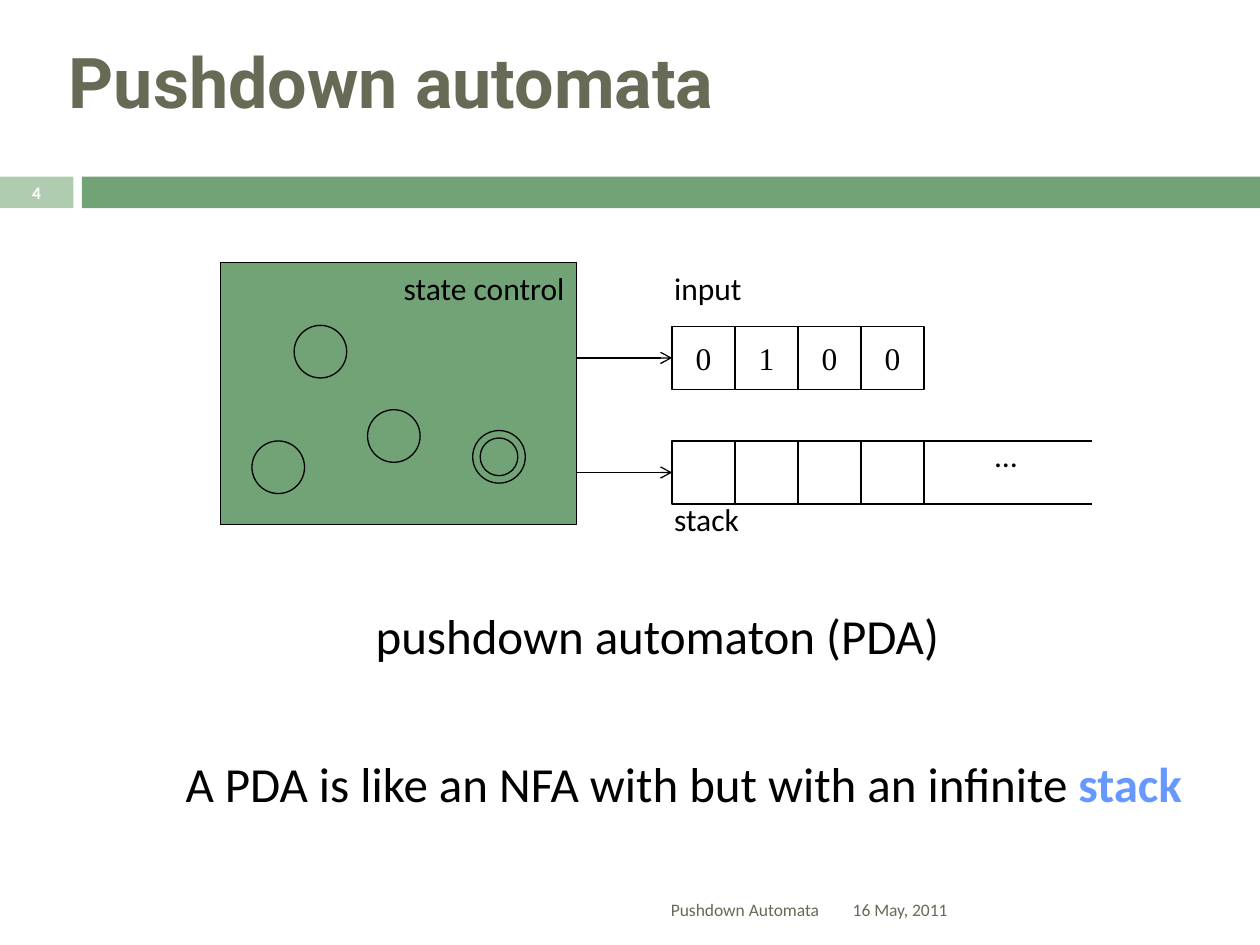
from lxml.etree import SubElement
from pptx import Presentation
from pptx.dml.color import RGBColor
from pptx.enum.shapes import MSO_CONNECTOR, MSO_SHAPE
from pptx.enum.text import MSO_ANCHOR, PP_ALIGN
from pptx.oxml.ns import qn
from pptx.util import Cm, Pt

GREEN, PALE_GREEN, OLIVE = "72A376", "B0CCB0", "676A55"
BLACK, WHITE, BLUE = "000000", "FFFFFF", "6699FF"
LEFT, CENTER, RIGHT = PP_ALIGN.LEFT, PP_ALIGN.CENTER, PP_ALIGN.RIGHT
TOP, MIDDLE = MSO_ANCHOR.TOP, MSO_ANCHOR.MIDDLE

deck = Presentation()
deck.slide_width, deck.slide_height = Cm(25.4), Cm(19.05)
page = deck.slides.add_slide(deck.slide_layouts[6])


def color(hex_string):
    return RGBColor.from_string(hex_string)


def add_shape(kind, left, top, width, height, fill=None, outline=BLACK):
    shape = page.shapes.add_shape(kind, Cm(left), Cm(top), Cm(width), Cm(height))
    shape.shadow.inherit = False
    if fill:
        shape.fill.solid()
        shape.fill.fore_color.rgb = color(fill)
    else:
        shape.fill.background()
    if outline:
        shape.line.color.rgb = color(outline)
        shape.line.width = Pt(0.75)
    else:
        shape.line.fill.background()
    return shape


# Each entry: box, text, size, font, colour, bold, alignment, anchor, wrap
texts = []

# Header band
add_shape(MSO_SHAPE.RECTANGLE, 0, 3.56, 1.48, 0.64, PALE_GREEN, None)
add_shape(MSO_SHAPE.RECTANGLE, 1.65, 3.56, 23.75, 0.64, GREEN, None)

# State control with its states, the last one accepting
control = add_shape(MSO_SHAPE.RECTANGLE, 4.45, 5.29, 7.18, 5.29, GREEN)
texts.append((control, "state control", 18, "Calibri", BLACK, False, RIGHT, TOP, True))
for left, top, size in [(5.93, 6.56, 1.06), (7.41, 8.26, 1.06), (5.08, 8.89, 1.06),
                        (9.53, 8.68, 1.06), (9.68, 8.83, 0.76)]:
    add_shape(MSO_SHAPE.OVAL, left, top, size, size)

# Input tape and stack
tape_left, cell = 13.55, 1.27
input_top, stack_top = 6.58, 8.89
for top, symbols in [(input_top, "0100"), (stack_top, [""] * 4)]:
    for column, symbol in enumerate(symbols):
        box = add_shape(MSO_SHAPE.RECTANGLE, tape_left + column * cell, top, cell, cell)
        if symbol:
            texts.append((box, symbol, 18, "Times New Roman", BLACK, False,
                          CENTER, MIDDLE, True))

# Arrows to both tapes, and the open end of the stack
stack_end = tape_left + 4 * cell
for start, end, height, has_arrow in [
    (11.63, tape_left, input_top + cell / 2, True),
    (11.63, tape_left, stack_top + cell / 2, True),
    (stack_end, 22.01, stack_top, False),
    (stack_end, 22.01, stack_top + cell, False),
]:
    line = page.shapes.add_connector(MSO_CONNECTOR.STRAIGHT, Cm(start), Cm(height),
                                     Cm(end), Cm(height))
    line.line.color.rgb = color(BLACK)
    line.line.width = Pt(0.75)
    if has_arrow:
        SubElement(line.line._get_or_add_ln(), qn("a:tailEnd"), type="arrow")
    SubElement(line._element.spPr, qn("a:effectLst"))

# Title, labels, statements and footer
for left, top, width, height, *style in [
    (1.14, 0.71, 23.22, 1.83, "Pushdown automata", 40, "Roboto", OLIVE, True, LEFT, MIDDLE, True),
    (13.34, 5.29, 2.26, 1.3, "input", 18, "Calibri", BLACK, False, LEFT, TOP, False),
    (13.34, 9.96, 2.29, 1.3, "stack", 18, "Calibri", BLACK, False, LEFT, TOP, False),
    (19.81, 8.66, 1.37, 1.27, "…", 18, "Calibri", BLACK, False, LEFT, TOP, False),
    (7.19, 12.09, 12.12, 1.45, "pushdown automaton (PDA)", 28, "Calibri", BLACK, False,
     CENTER, TOP, False),
    (2.34, 15.06, 22.89, 1.45, "A PDA is like an NFA with but with an infinite ", 28,
     "Calibri", BLACK, False, CENTER, TOP, False),
    (16.94, 17.83, 7.42, 1.02, "16 May, 2011", 10, "Calibri", OLIVE, False, LEFT, MIDDLE, True),
    (0, 3.53, 1.48, 0.69, "4", 10, "Calibri", WHITE, True, CENTER, MIDDLE, True),
    (1.7, 17.83, 15.06, 1.02, "Pushdown Automata", 10, "Calibri", OLIVE, False,
     RIGHT, MIDDLE, True),
]:
    box = page.shapes.add_textbox(Cm(left), Cm(top), Cm(width), Cm(height))
    texts.append((box, *style))

# Write and format all text
for box, words, size, font, ink, bold, alignment, anchor, wrap in texts:
    frame = box.text_frame
    frame.text = words
    frame.word_wrap = wrap
    frame.vertical_anchor = anchor
    paragraph = frame.paragraphs[0]
    paragraph.alignment = alignment
    if words.startswith("A PDA"):
        paragraph.add_run().text = "stack"
    for span in paragraph.runs:
        span.font.size = Pt(size)
        span.font.name = font
        span.font.bold = bold
        span.font.color.rgb = color(ink)
        if len(paragraph.runs) > 1 and span.text == "stack":
            span.font.bold = True
            span.font.color.rgb = color(BLUE)

deck.save("out.pptx")
